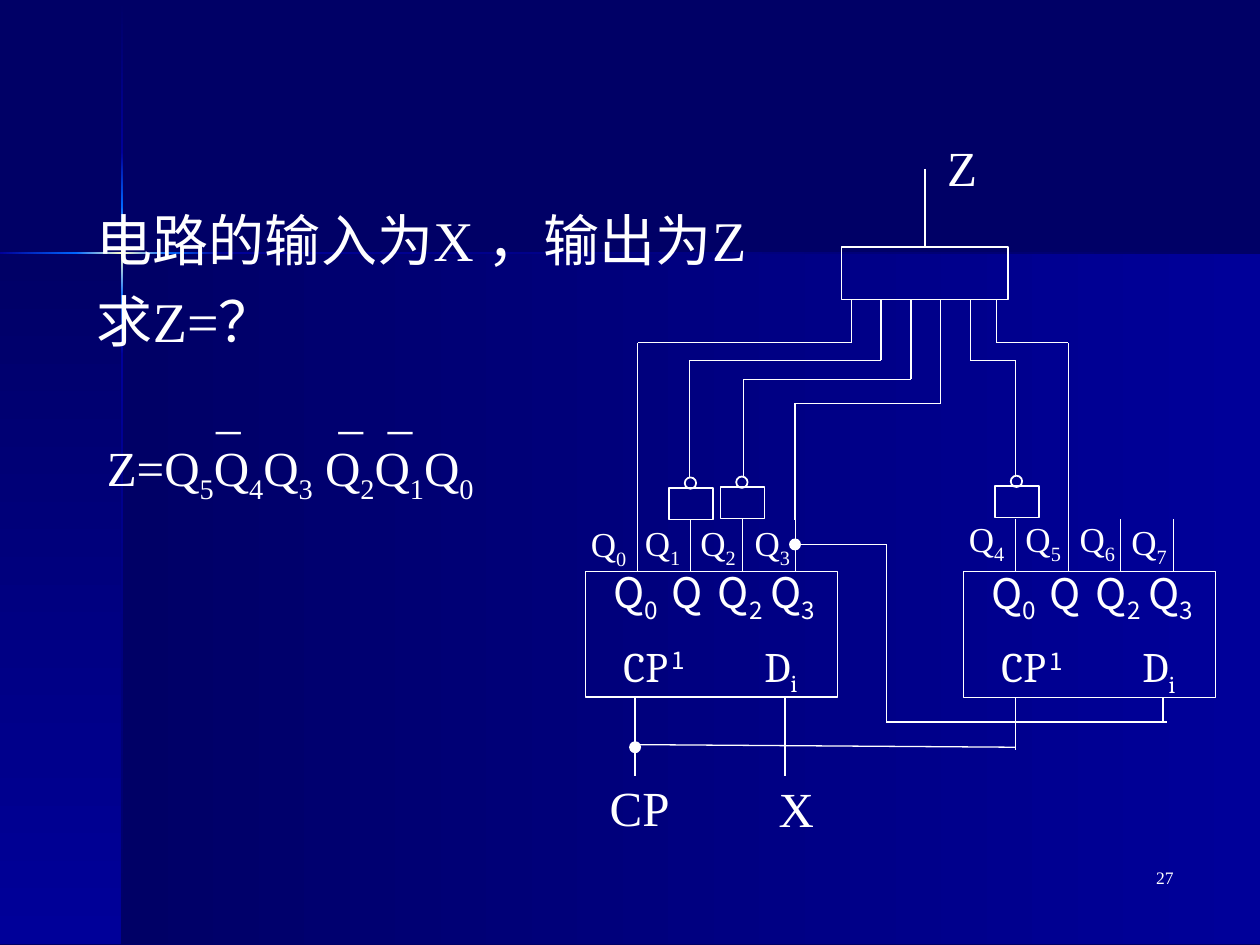
from lxml.etree import SubElement
from pptx import Presentation
from pptx.dml.color import RGBColor
from pptx.enum.shapes import MSO_CONNECTOR as Connector, MSO_SHAPE as Shape
from pptx.enum.text import MSO_ANCHOR as Anchor, MSO_AUTO_SIZE as AutoSize, PP_ALIGN as Align
from pptx.oxml.ns import qn
from pptx.util import Pt

WHITE = RGBColor(0xFF, 0xFF, 0xFF)
NAVY = RGBColor(0x00, 0x00, 0x66)
BLUE = RGBColor(0x00, 0x00, 0x99)
BRIGHT = RGBColor(0x00, 0x66, 0xFF)
CREAM = RGBColor(0xFF, 0xFF, 0xCC)
SERIF, SANS, CAMBRIA = "Times New Roman", "Noto Sans CJK SC", "Cambria"
ACROSS, DOWN = 0, 270


def write(para, text, size=28, font=SERIF, align=Align.LEFT, before=0, tabs=()):
    """Fill a paragraph with text whose odd parts between bars are subscripts."""
    properties = para._p.get_or_add_pPr()
    if tabs:
        stops = SubElement(properties, qn("a:tabLst"))
        for stop in tabs:
            SubElement(stops, qn("a:tab"), pos=str(Pt(stop)), algn="l")
    para.alignment = align
    para.space_before = Pt(before)
    for index, part in enumerate(text.split("|")):
        if not part:
            continue
        span = para.add_run()
        span.text = part
        span.font.name = font
        span.font.size = Pt(size)
        span.font.color.rgb = WHITE
        if index % 2:
            span._r.get_or_add_rPr().set("baseline", "-25000")


class Circuit:
    """Hold the drawing style and the current slide."""

    def __init__(self, page, thin=0.75, thick=1):
        self.page, self.thin, self.thick = page, thin, thick

    def shape(self, kind, left, top, width, height):
        box = self.page.shapes.add_shape(kind, Pt(left), Pt(top), Pt(width), Pt(height))
        box.shadow.inherit = False
        return box

    def band(self, left, top, width, height, direction, *colors):
        box = self.shape(Shape.RECTANGLE, left, top, width, height)
        box.line.fill.background()
        box.fill.gradient()
        box.fill.gradient_angle = direction
        stops = box._element.spPr.find(qn("a:gradFill")).find(qn("a:gsLst"))
        for stop in list(stops):
            stops.remove(stop)
        for index, color in enumerate(colors):
            position = 100000 * index // (len(colors) - 1)
            stop = SubElement(stops, qn("a:gs"), pos=str(position))
            SubElement(stop, qn("a:srgbClr"), val=str(color))

    def block(self, left, top, width, height):
        box = self.shape(Shape.RECTANGLE, left, top, width, height)
        box.fill.background()
        box.line.color.rgb = WHITE
        box.line.width = Pt(self.thin)

    def circle(self, left, top, size, solid=False):
        dot = self.shape(Shape.OVAL, left, top, size, size)
        dot.line.color.rgb = WHITE
        dot.line.width = Pt(self.thick)
        if solid:
            dot.fill.solid()
            dot.fill.fore_color.rgb = WHITE
        else:
            dot.fill.background()

    def wire(self, *points):
        for start, end in zip(points, points[1:]):
            line = self.page.shapes.add_connector(
                Connector.STRAIGHT, *[Pt(value) for value in start + end])
            line.line.color.rgb = WHITE
            line.line.width = Pt(self.thin)
            SubElement(line._element.spPr, qn("a:effectLst"))

    def label(self, text, left, top, width, height, wrap=True, **style):
        box = self.page.shapes.add_textbox(Pt(left), Pt(top), Pt(width), Pt(height))
        frame = box.text_frame
        frame.word_wrap = wrap
        frame.auto_size = AutoSize.SHAPE_TO_FIT_TEXT
        write(frame.paragraphs[0], text, **style)
        return frame

    def body(self, lines, left, top, width, height):
        box = self.page.placeholders[1]
        box._element.getparent().append(box._element)
        box.left, box.top, box.width, box.height = Pt(left), Pt(top), Pt(width), Pt(height)
        frame = box.text_frame
        frame.auto_size = AutoSize.NONE
        frame.vertical_anchor = Anchor.TOP
        for index, text in enumerate(lines):
            para = frame.add_paragraph() if index else frame.paragraphs[0]
            properties = para._p.get_or_add_pPr()
            properties.set("marL", "0")
            properties.set("indent", "0")
            SubElement(properties, qn("a:buNone"))
            write(para, text, size=32, before=8 if index else 0)

    def register(self, left, top, clock_end, data_end, clock_offset):
        self.block(left, top, 144, 72)
        for index, (offset, width) in enumerate([(8.6, 41), (41.8, 34.5), (68.4, 41), (98.6, 41)]):
            self.label(f"Q|{index}", left + offset, top - 6, width, 40,
                       wrap=index == 1, size=24, font=SANS)
            pin = left + 29.6 + 30 * index
            self.wire((pin, 296.6), (pin, top))
        self.label("D|i", left + 95, top + 36, 36, 40, wrap=False, size=24, font=CAMBRIA)
        self.label("CP", left + 14.4, top + 36, 43.2, 36, wrap=False, size=24, font=CAMBRIA)
        for offset, end in [(clock_offset, clock_end), (113.8, data_end)]:
            self.wire((left + offset, top + 72), (left + offset, end))

    def inverter(self, left, top):
        self.block(left, top, 25.2, 18)
        self.circle(left + 9, top - 6, 6.5)


def main():
    """Build the slide and save it."""
    deck = Presentation()
    deck.slide_width, deck.slide_height = Pt(720), Pt(540)
    page = deck.slides.add_slide(deck.slide_layouts[1])
    title = page.shapes.title._element
    title.getparent().remove(title)
    page.background.fill.solid()
    page.background.fill.fore_color.rgb = NAVY
    circuit = Circuit(page)

    circuit.band(70, 144.7, 650, 394.6, ACROSS, NAVY, BLUE)
    circuit.band(0, 144.7, 70, 394.6, DOWN, NAVY, BLUE)
    for top, height, colors in [(0, 87, (NAVY, BLUE)), (202.3, 337, (BLUE, NAVY)),
                                (170.6, 31.7, (BRIGHT, BLUE)), (87, 31.1, (BLUE, BRIGHT)),
                                (118.1, 52.5, (BRIGHT, CREAM, BRIGHT))]:
        circuit.band(69.1, top, 1.3, height, DOWN, *colors)
    for left, width, colors in [(127.4, 592.6, (BLUE, NAVY)), (0, 43.6, (BLUE, BRIGHT)),
                                (95.8, 31.6, (BRIGHT, BLUE)),
                                (43.4, 52.4, (BRIGHT, CREAM, BRIGHT))]:
        circuit.band(left, 144, width, 1.3, ACROSS, *colors)

    circuit.body(["电路的输入为X ，输出为Z", "求Z=？"], 48.2, 113.8, 642.2, 95.8)
    formula = circuit.label("\t_\t_\t_", 54, 213.1, 360, 79, tabs=(62.4, 132.5, 160.6))
    write(formula.add_paragraph(), "Z=Q|5|Q|4|Q|3| Q|2|Q|1|Q|0")
    circuit.label("27", 527.8, 491.8, 149.8, 36, size=10, align=Align.RIGHT)

    circuit.register(334.8, 326.4, 443.5, 443.5, 28)
    circuit.register(550.8, 326.6, 428.4, 413.3, 29.6)
    outputs = [(330.5, 295.2), (361.4, 294.5), (393.1, 294.5), (424.1, 294.5),
               (546.5, 292.3), (578.9, 292.3), (609.8, 292.3), (639.4, 293.8)]
    for index, (left, top) in enumerate(outputs):
        circuit.label(f"Q|{index}", left, top, 59, 34.6, size=20)
    for text, left, top, width in [("X", 437.8, 441.4, 32.4), ("CP", 341.3, 440.6, 58.3),
                                   ("Z", 534.2, 74.9, 31)]:
        circuit.label(text, left, top, width, 41)

    circuit.wire((360.7, 425.5), (580.3, 427))
    circuit.circle(360, 424.1, 5.8, solid=True)
    circuit.circle(451.4, 308.2, 5.8, solid=True)
    circuit.wire((457.2, 311), (506.5, 311), (506.5, 412.6), (666.7, 412.6))

    circuit.block(481, 141.1, 95, 30.2)
    circuit.wire((528.5, 96.5), (528.5, 141.1))
    for gate, level, pin, end in [(486.7, 195.8, 364.4, 296.6), (503.5, 206, 394.2, 273),
                                  (520.5, 216.7, 425, 273), (537.6, 230.4, 454.3, 297),
                                  (554.4, 206, 580.5, 271.5), (569.5, 195.8, 610.4, 297)]:
        circuit.wire((gate, 171.3), (gate, level), (pin, level), (pin, end))
    for left, top in [(382.3, 278.8), (411.7, 278.3), (568.6, 277.8)]:
        circuit.inverter(left, top)

    deck.save("out.pptx")


if __name__ == "__main__":
    main()
